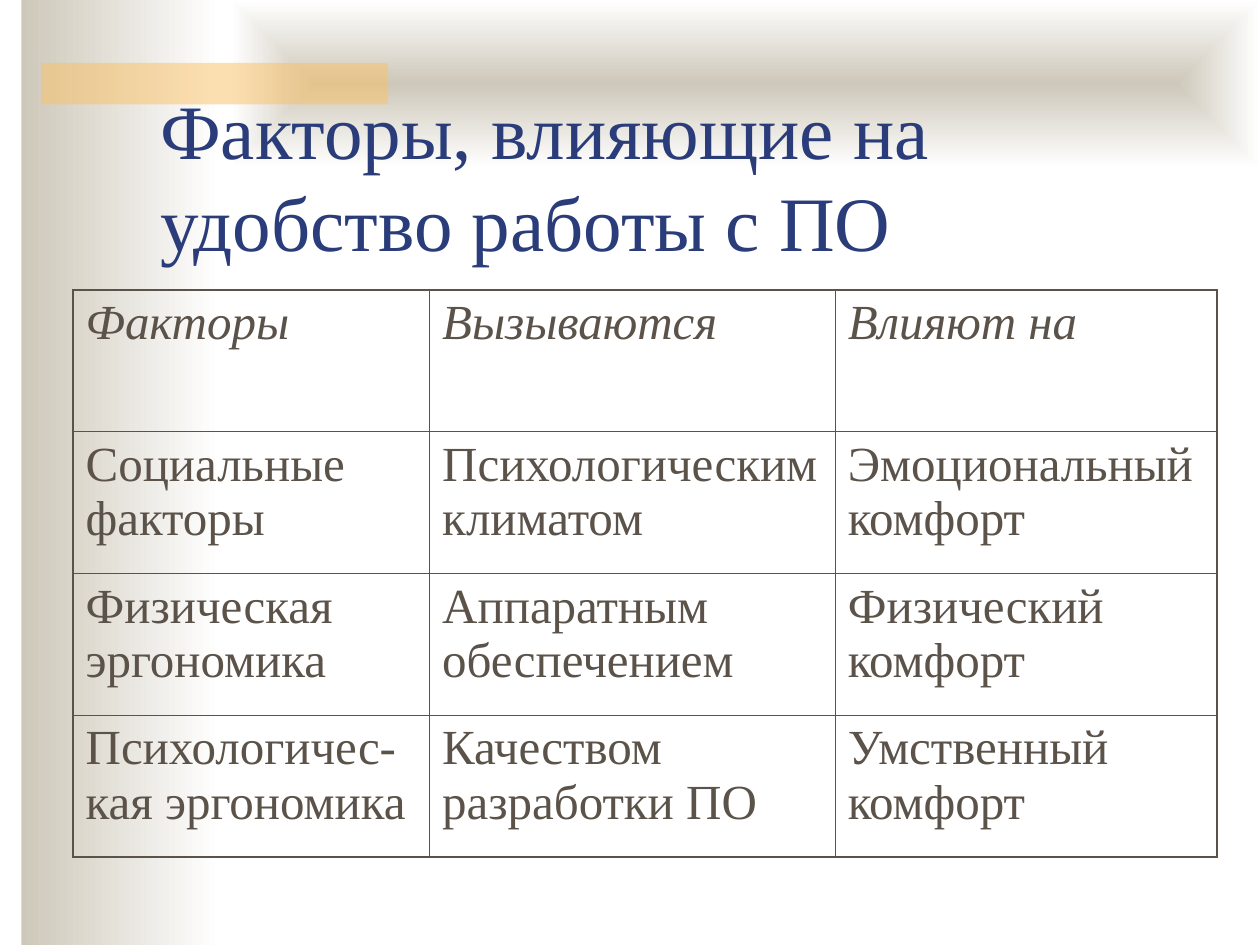
from lxml import etree
from pptx import Presentation
from pptx.dml.color import RGBColor
from pptx.enum.shapes import MSO_SHAPE
from pptx.enum.text import MSO_ANCHOR, MSO_AUTO_SIZE, PP_ALIGN
from pptx.oxml.ns import qn
from pptx.util import Inches, Pt

RECTANGLE = MSO_SHAPE.RECTANGLE
BOTTOM = MSO_ANCHOR.BOTTOM
LEFT = PP_ALIGN.LEFT
NO_AUTOFIT = MSO_AUTO_SIZE.NONE
TITLE_ONLY = 5

WIDTH, HEIGHT = 10, 7.5
FONT = "Times New Roman"
BEIGE, WHITE, AMBER = "CEC8BA", "FFFFFF", "FAC164"
NAVY, BROWN = "2A3D7A", "5B5249"
THIN, THICK = 0.45, 1.08

COLUMNS = [2.83, 3.22, 3.03]
ROW_HEIGHT = 4.5 / 4
ROWS = [
    ["Факторы", "Вызываются", "Влияют на"],
    ["Социальные факторы", "Психологическим климатом", "Эмоциональный комфорт"],
    ["Физическая эргономика", "Аппаратным обеспечением", "Физический комфорт"],
    ["Психологичес-кая эргономика", "Качеством разработки ПО", "Умственный комфорт"],
]


def color(value):
    return RGBColor.from_string(value)


def add_child(parent, tag, **attributes):
    return etree.SubElement(parent, qn(tag), attributes)


def set_text(frame, text, hue, **formats):
    para = frame.paragraphs[0]
    para.alignment = LEFT
    span = para.add_run()
    span.text = text
    for name, value in {"name": FONT, "bold": False, **formats}.items():
        setattr(span.font, name, value)
    span.font.color.rgb = color(hue)


def add_panel(page, left, top, width, height):
    panel = page.shapes.add_shape(
        RECTANGLE, *(Inches(length) for length in (left, top, width, height)))
    panel.shadow.inherit = False
    panel.line.fill.background()
    return panel


def fade_panel(panel, from_center=False):
    panel.fill.gradient()
    for stop, hue in zip(panel.fill.gradient_stops, (BEIGE, WHITE)):
        stop.color.rgb = color(hue)
    if not from_center:
        panel.fill.gradient_angle = 0
        return
    gradient = panel._element.spPr.find(qn("a:gradFill"))
    gradient.remove(gradient.find(qn("a:lin")))
    shape_path = add_child(gradient, "a:path", path="rect")
    add_child(shape_path, "a:fillToRect", **dict.fromkeys("ltrb", "50000"))


def tint_panel(panel, hue, percent):
    panel.fill.solid()
    panel.fill.fore_color.rgb = color(hue)
    solid = panel._element.spPr.find(qn("a:solidFill"))
    add_child(solid[0], "a:alpha", val=str(percent * 1000))


def place_title(page, text):
    title = page.shapes.title
    box = {"left": 1.17, "top": 0.92, "width": 8.5, "height": 1.25}
    for name, value in box.items():
        setattr(title, name, Inches(value))
    frame = title.text_frame
    formats = {"word_wrap": True, "auto_size": NO_AUTOFIT, "vertical_anchor": BOTTOM}
    for name, value in formats.items():
        setattr(frame, name, value)
    set_text(frame, text, NAVY, size=Pt(44))
    title._element.getparent().append(title._element)


def set_borders(cell, outer_sides):
    properties = cell._tc.get_or_add_tcPr()
    for side in "LRTB":
        weight = THICK if outer_sides[side] else THIN
        line = add_child(properties, f"a:ln{side}", w=str(Pt(weight)))
        add_child(add_child(line, "a:solidFill"), "a:srgbClr", val=BROWN)


def add_factor_table(page):
    table = page.shapes.add_table(
        len(ROWS), len(COLUMNS), Inches(0.58), Inches(2.3),
        Inches(sum(COLUMNS)), Inches(ROW_HEIGHT * len(ROWS))).table
    table.first_row = table.horz_banding = False
    for column, width in zip(table.columns, COLUMNS):
        column.width = Inches(width)
    for row_index, texts in enumerate(ROWS):
        table.rows[row_index].height = Inches(ROW_HEIGHT)
        for column_index, text in enumerate(texts):
            cell = table.cell(row_index, column_index)
            set_text(cell.text_frame, text, BROWN, size=Pt(28), italic=row_index == 0)
            set_borders(cell, {
                "L": column_index == 0, "R": column_index == len(COLUMNS) - 1,
                "T": row_index == 0, "B": row_index == len(ROWS) - 1})
            cell.fill.background()


def main():
    deck = Presentation()
    deck.slide_width, deck.slide_height = Inches(WIDTH), Inches(HEIGHT)
    page = deck.slides.add_slide(deck.slide_layouts[TITLE_ONLY])
    fade_panel(add_panel(page, 0.17, 0, 1.58, HEIGHT))
    fade_panel(add_panel(page, 1.83, 0, WIDTH - 1.83, 1.33), from_center=True)
    tint_panel(add_panel(page, 0.33, 0.5, 2.75, 0.33), AMBER, 50)
    place_title(page, "Факторы, влияющие на удобство работы с ПО")
    add_factor_table(page)
    deck.save("out.pptx")


if __name__ == "__main__":
    main()
